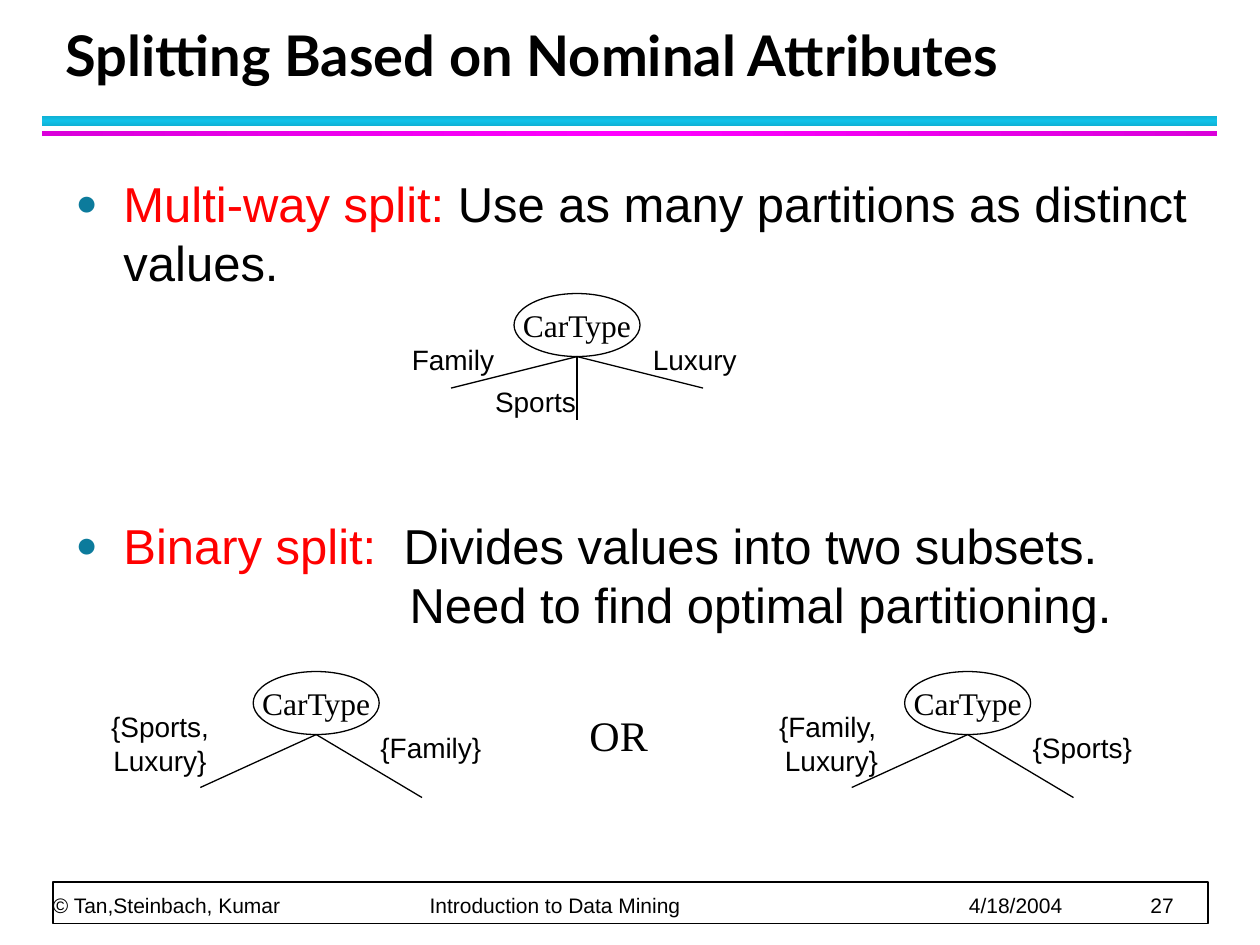
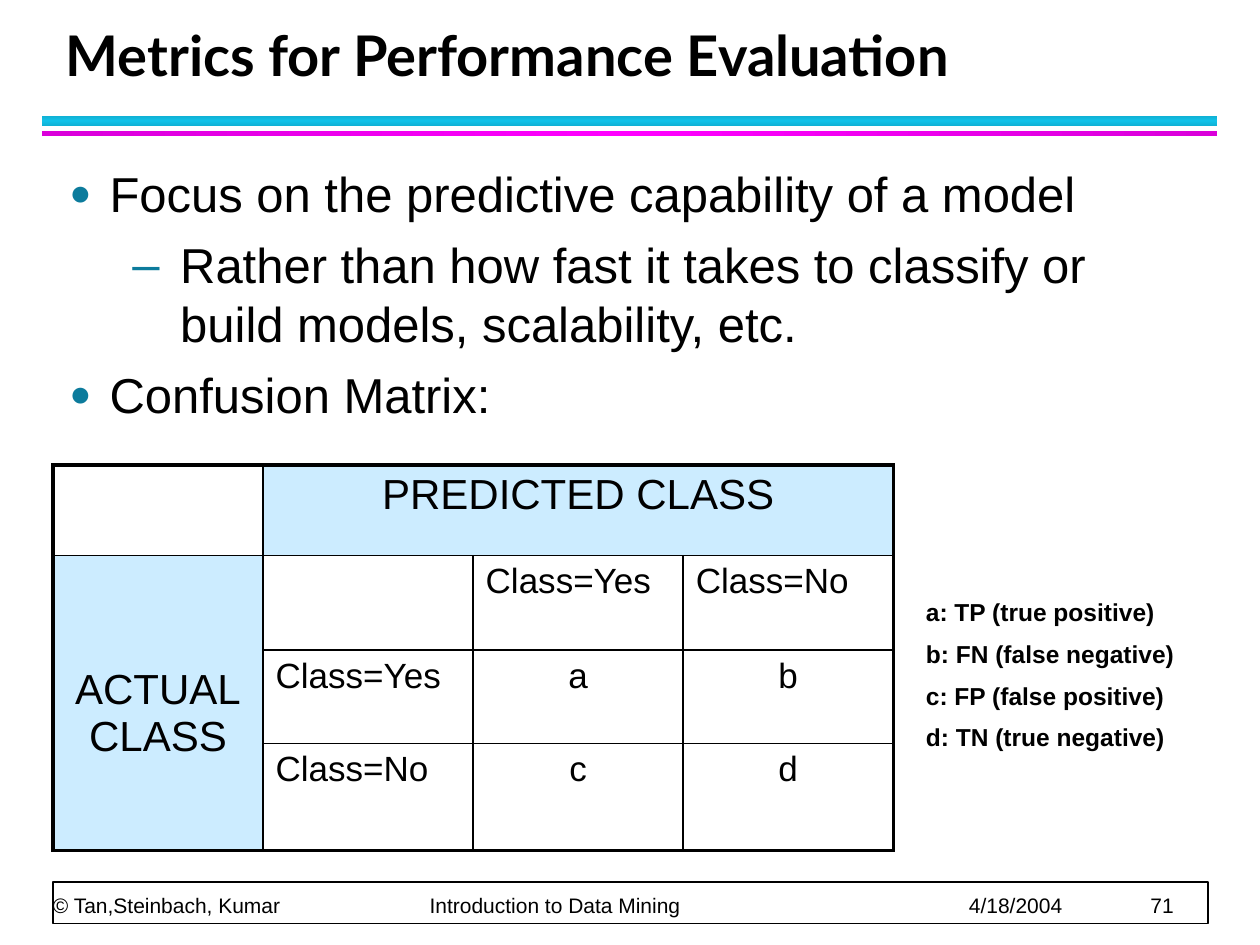
import lxml.etree
import pptx
import pptx.dml.color
import pptx.enum.shapes
import pptx.enum.text
import pptx.oxml.ns
import pptx.util

Inches = pptx.util.Inches
Pt = pptx.util.Pt
qn = pptx.oxml.ns.qn
ALIGN = pptx.enum.text.PP_ALIGN
ANCHOR = pptx.enum.text.MSO_ANCHOR
SHAPE = pptx.enum.shapes.MSO_SHAPE

BLACK, WHITE, RED = "000000", "FFFFFF", "FF0000"
BULLET_TEAL, HEADER_BLUE = "0C7B9C", "CCECFF"
SANS, SERIF, TITLE_FONT = "Arial", "Times New Roman", "Lato"
BANDS = [
    (0.92, 0.08, 90, ("10B0D3", "12C2E9", "10B0D3")),
    (1.04, 0.04, 0, ("DA00DA", "FF00FF", "DA00DA")),
]
FOOTER_PARTS = ["© Tan,Steinbach, Kumar", "Introduction to Data Mining", "4/18/2004"]
FOOTER_TABS = [2.99, 7.27, 8.71]


def rgb(hex_string):
    return pptx.dml.color.RGBColor.from_string(hex_string)


def box(left, top, width, height):
    return [Inches(length) for length in (left, top, width, height)]


def assign(target, values):
    for attribute, value in values.items():
        setattr(target, attribute, value)


def add_xml(parent, tag, **attributes):
    values = {key: str(value) for key, value in attributes.items()}
    return lxml.etree.SubElement(parent, qn(tag), values)


class Deck:
    def __init__(self):
        self.presentation = pptx.Presentation()
        assign(self.presentation, {"slide_width": Inches(10), "slide_height": Inches(7.5)})
        self.slide = None

    def new_slide(self, title, number):
        layout = self.presentation.slide_layouts[1]
        self.slide = self.presentation.slides.add_slide(layout)
        for top, height, angle, colours in BANDS:
            self.band(top, height, angle, colours)
        self.footer(number)
        heading = self.slide.shapes.title
        self.place(heading, 0.42, 0.17, 9.42, 0.58)
        self.frame(heading, vertical_anchor=ANCHOR.BOTTOM)
        paragraph = heading.text_frame.paragraphs[0]
        assign(paragraph, {"alignment": ALIGN.LEFT, "line_spacing": Pt(36)})
        self.run(paragraph, title, 32, font=TITLE_FONT, bold=True)

    def place(self, shape, *bounds):
        assign(shape, dict(zip(("left", "top", "width", "height"), box(*bounds))))

    def frame(self, shape, **values):
        defaults = {"word_wrap": True, "auto_size": pptx.enum.text.MSO_AUTO_SIZE.NONE}
        assign(shape.text_frame, defaults | values)

    def run(self, paragraph, text, size, colour=BLACK, font=SANS, bold=False):
        run = paragraph.add_run()
        run.text = text
        assign(run.font, {"size": Pt(size), "name": font, "bold": bold})
        run.font.color.rgb = rgb(colour)

    def shape(self, kind, *bounds, line=None):
        shape = self.slide.shapes.add_shape(kind, *box(*bounds))
        shape.shadow.inherit = False
        shape.fill.solid()
        shape.fill.fore_color.rgb = rgb(WHITE)
        if line:
            shape.line.color.rgb = rgb(BLACK)
            shape.line.width = Pt(line)
        else:
            shape.line.fill.background()
        return shape

    def band(self, top, height, angle, colours):
        band = self.shape(SHAPE.RECTANGLE, 0.33, top, 9.33, height)
        band.fill.gradient()
        band.fill.gradient_angle = angle
        stops = band._element.spPr.find(".//" + qn("a:gsLst"))
        for stop in list(stops):
            stops.remove(stop)
        for index, colour in enumerate(colours):
            stop = add_xml(stops, "a:gs", pos=index * 50000)
            add_xml(stop, "a:srgbClr", val=colour)

    def footer(self, number):
        self.shape(SHAPE.RECTANGLE, 0.42, 7, 9.17, 0.33, line=1)
        margins = dict.fromkeys(
            ("margin_left", "margin_top", "margin_right", "margin_bottom"), 0)
        paragraph = self.text("\t".join(FOOTER_PARTS + [str(number)]), 0.42, 7, 9.15, 0.28,
                              size=12, align=ALIGN.LEFT,
                              vertical_anchor=ANCHOR.BOTTOM, **margins)
        paragraph.line_spacing = Pt(20)
        tabs = add_xml(paragraph._p.get_or_add_pPr(), "a:tabLst")
        for position in FOOTER_TABS:
            add_xml(tabs, "a:tab", pos=Inches(position), algn="l")

    def text(self, content, *bounds, size=16, font=SANS, align=ALIGN.CENTER, **values):
        label = self.slide.shapes.add_textbox(*box(*bounds))
        self.frame(label, **({"vertical_anchor": ANCHOR.MIDDLE} | values))
        paragraph = label.text_frame.paragraphs[0]
        paragraph.alignment = align
        for index, line in enumerate(content.split("\v")):
            if index:
                paragraph.add_line_break()
            self.run(paragraph, line, size, font=font)
        return paragraph

    def body(self, bounds, items):
        """Fill the body placeholder; an item holds its runs and paragraph format."""
        body = self.slide.placeholders[1]
        self.place(body, *bounds)
        self.frame(body, vertical_anchor=ANCHOR.TOP)
        for index, item in enumerate(items):
            frame = body.text_frame
            paragraph = frame.add_paragraph() if index else frame.paragraphs[0]
            assign(paragraph, {"level": item.get("level", 0),
                               "alignment": ALIGN.LEFT,
                               "space_before": Pt(item.get("before", 3)),
                               "space_after": Pt(item.get("after", 4))})
            for text, colour in item["runs"]:
                self.run(paragraph, text, 28, colour)
            self.bullet(paragraph, item["margin"], item.get("hanging", 0),
                        item.get("bullet"))

    def bullet(self, paragraph, margin, hanging, character):
        properties = paragraph._p.get_or_add_pPr()
        properties.set("marL", str(Inches(margin)))
        properties.set("indent", str(-Inches(hanging)))
        if not character:
            add_xml(properties, "a:buNone")
            return
        add_xml(add_xml(properties, "a:buClr"), "a:srgbClr", val=BULLET_TEAL)
        size = 75000 if character == "●" else 100000
        add_xml(properties, "a:buSzPct", val=size)
        add_xml(properties, "a:buFont", typeface=SANS)
        add_xml(properties, "a:buChar", char=character)

    def line(self, start, end):
        ends = [Inches(length) for length in (*start, *end)]
        straight = pptx.enum.shapes.MSO_CONNECTOR.STRAIGHT
        connector = self.slide.shapes.add_connector(straight, *ends)
        connector.line.color.rgb = rgb(BLACK)
        connector.line.width = Pt(0.75)
        add_xml(connector._element.spPr, "a:effectLst")

    def split_tree(self, left, top, branches, labels):
        """Draw a CarType node; branch ends are offsets from its lowest point."""
        root = (left + 0.5, top + 0.5)
        node = self.shape(SHAPE.OVAL, left, top, 1, 0.5, line=0.75)
        self.frame(node, word_wrap=False, vertical_anchor=ANCHOR.MIDDLE)
        paragraph = node.text_frame.paragraphs[0]
        paragraph.alignment = ALIGN.CENTER
        self.run(paragraph, "CarType", 18, font=SERIF)
        for across, down in branches:
            self.line(root, (root[0] + across, root[1] + down))
        for content, *bounds in labels:
            self.text(content, *bounds, word_wrap=" " in content)

    def cell_borders(self, cell, edges):
        properties = cell._tc.get_or_add_tcPr()
        for index, (side, width) in enumerate(edges.items()):
            border = lxml.etree.Element(qn("a:ln" + side), w=str(Pt(width)))
            add_xml(add_xml(border, "a:solidFill"), "a:srgbClr", val=BLACK)
            properties.insert(index, border)

    def matrix(self, bounds, heights, texts, merges):
        rows, columns = len(texts), len(texts[0])
        table = self.slide.shapes.add_table(rows, columns, *box(*bounds)).table
        assign(table, {"first_row": False, "horz_banding": False})
        for row, height in zip(table.rows, heights):
            row.height = Inches(height)
        for first, last in merges:
            table.cell(*first).merge(table.cell(*last))
        for row, line in enumerate(texts):
            for column, content in enumerate(line):
                cell = table.cell(row, column)
                self.matrix_cell(cell, content)
                last_row, last_column = row + 1, column + 1
                if cell.is_merge_origin:
                    last_row = row + cell.span_height
                    last_column = column + cell.span_width
                outer = {"L": column == 0, "R": last_column == columns,
                         "T": row == 0, "B": last_row == rows}
                self.cell_borders(cell, {side: 2.25 if edge else 1
                                         for side, edge in outer.items()})
        return table

    def matrix_cell(self, cell, content):
        heading = cell.is_merge_origin
        cell.fill.solid()
        cell.fill.fore_color.rgb = rgb(HEADER_BLUE if heading else WHITE)
        if not content:
            return
        paragraph = cell.text_frame.paragraphs[0]
        paragraph.alignment = ALIGN.LEFT if content.startswith("Class=") else ALIGN.CENTER
        for index, line in enumerate(content.split("\v")):
            if index:
                paragraph.add_line_break()
            self.run(paragraph, line, 24 if heading else 20)

    def legend(self, bounds, lines):
        legend = self.slide.shapes.add_textbox(*box(*bounds))
        self.frame(legend)
        for index, line in enumerate(lines):
            frame = legend.text_frame
            paragraph = frame.add_paragraph() if index else frame.paragraphs[0]
            paragraph.space_before = Pt(7)
            self.run(paragraph, line, 14, bold=True)


def nominal_splits(deck):
    deck.new_slide("Splitting Based on Nominal Attributes", 27)
    dot = {"margin": 0.38, "hanging": 0.38, "bullet": "●"}
    deck.body((0.5, 1.33, 9.17, 4.08), [
        dot | {"runs": [("Multi-way split:", RED),
                        (" Use as many partitions as distinct values.", BLACK)]},
        dot | {"runs": [("Binary split:", RED),
                        ("  Divides values into two subsets.", BLACK)],
               "before": 124, "after": 0},
        {"runs": [("Need to find optimal partitioning.", BLACK)],
         "margin": 2.65, "before": 0},
    ])
    deck.split_tree(4.08, 2.33, [(-1, 0.25), (0, 0.5), (1, 0.25)], [
        ("Family", 3.17, 2.67, 0.85, 0.37),
        ("Sports", 3.83, 3, 0.84, 0.37),
        ("Luxury", 5.08, 2.67, 0.87, 0.37),
    ])
    binary_branches = [(-0.92, 0.42), (0.84, 0.5)]
    for left, pair, pair_left, single in [
        (2.01, "{Sports, Luxury}", 0.75, "{Family}"),
        (7.18, "{Family, \vLuxury}", 6.08, "{Sports}"),
    ]:
        deck.split_tree(left, 5.33, binary_branches, [
            (pair, pair_left, 5.58, 1.04, 0.64),
            (single, left + 0.91, 5.75, 1, 0.37),
        ])
    deck.text("OR", 4.58, 5.58, 0.66, 0.5, size=24, font=SERIF, word_wrap=False)


def performance_metrics(deck):
    deck.new_slide("Metrics for Performance Evaluation", 71)
    dot = {"margin": 0.32, "hanging": 0.32, "bullet": "●"}
    deck.body((0.45, 1.25, 9.1, 5.67), [
        dot | {"runs": [("Focus on the predictive capability of a model", BLACK)]},
        {"runs": [("Rather than how fast it takes to classify or build models, "
                   "scalability, etc.", BLACK)],
         "level": 1, "margin": 0.88, "hanging": 0.38, "bullet": "–"},
        dot | {"runs": [("Confusion Matrix:", BLACK)]},
    ])
    matrix = deck.matrix((0.42, 3.69, 6.67, 3.06), [0.72, 0.75, 0.74, 0.85], [
        ["", "PREDICTED CLASS", "", ""],
        ["ACTUAL\vCLASS", "", "Class=Yes", "Class=No"],
        ["", "Class=Yes", "a", "b"],
        ["", "Class=No", "c", "d"],
    ], merges=[((0, 1), (0, 3)), ((1, 0), (3, 0))])
    assign(matrix.cell(1, 0), {"vertical_anchor": ANCHOR.MIDDLE, "margin_top": Inches(0.22)})
    deck.legend((7.25, 4.69, 2.42, 1.38), [
        "a: TP (true positive)",
        "b: FN (false negative)",
        "c: FP (false positive)",
        "d: TN (true negative)",
    ])


def main():
    deck = Deck()
    nominal_splits(deck)
    performance_metrics(deck)
    deck.presentation.save("out.pptx")


if __name__ == "__main__":
    main()
